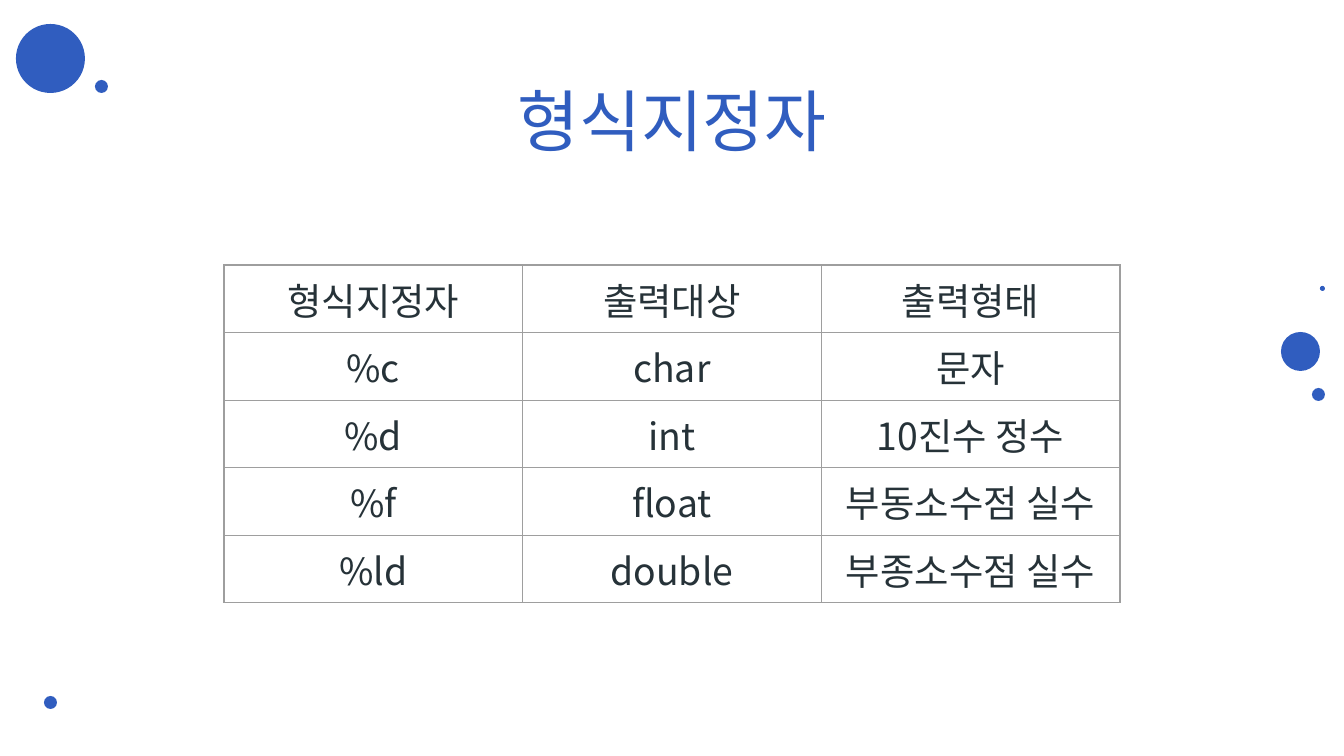
import pptx
import pptx.dml.color
import pptx.enum.shapes
import pptx.enum.text
import pptx.oxml.ns
import pptx.util
from lxml import etree

# Content
TITLE = "형식지정자"
ROWS = [
    ("형식지정자", "출력대상", "출력형태"),
    ("%c", "char", "문자"),
    ("%d", "int", "10진수 정수"),
    ("%f", "float", "부동소수점 실수"),
    ("%ld", "double", "부종소수점 실수"),
]
# Dots: left, top, diameter in px
DOTS = [
    (16, 24, 69), (95, 80, 13), (1281, 332, 39),
    (1312, 388, 13), (1320, 286, 5), (44, 696, 13),
]
TITLE_BOX = (101, 66, 1142, 85)
TABLE_BOX = (224, 265, 896, 338)
COLORS = {"blue": "305DBF", "ink": "263238", "border": "9E9E9E", "white": "FFFFFF"}
FONT = "Noto Sans CJK KR"
EMU_PER_PX = 914400 / 134.4


def px(n):
    return pptx.util.Emu(round(n * EMU_PER_PX))


def rgb(name):
    return pptx.dml.color.RGBColor.from_string(COLORS[name])


def add_centred_run(tf, text, size, color):
    p = tf.paragraphs[0]
    p.alignment = pptx.enum.text.PP_ALIGN.CENTER
    r = p.add_run()
    r.text = text
    r.font.size = pptx.util.Pt(size)
    r.font.name = FONT
    r.font.color.rgb = rgb(color)
    ea = etree.SubElement(r.font._element, pptx.oxml.ns.qn("a:ea"))
    ea.set("typeface", FONT)


def set_borders(cell, color, width):
    tc_pr = cell._tc.get_or_add_tcPr()
    for i, side in enumerate(("lnL", "lnR", "lnT", "lnB")):
        ln = etree.Element(pptx.oxml.ns.qn("a:" + side), w=str(pptx.util.Pt(width)))
        fill = etree.SubElement(ln, pptx.oxml.ns.qn("a:solidFill"))
        etree.SubElement(fill, pptx.oxml.ns.qn("a:srgbClr"), val=COLORS[color])
        tc_pr.insert(i, ln)


prs = pptx.Presentation()
prs.slide_width, prs.slide_height = px(1344), px(756)
s = prs.slides.add_slide(prs.slide_layouts[6])
s.background.fill.solid()
s.background.fill.fore_color.rgb = rgb("white")

# Decorative dots
for x, y, d in DOTS:
    sp = s.shapes.add_shape(pptx.enum.shapes.MSO_SHAPE.OVAL, px(x), px(y), px(d), px(d))
    sp.shadow.inherit = False
    sp.fill.solid()
    sp.fill.fore_color.rgb = rgb("blue")
    sp.line.fill.background()

# Title
tf = s.shapes.add_textbox(*map(px, TITLE_BOX)).text_frame
tf.word_wrap = True
tf.vertical_anchor = pptx.enum.text.MSO_ANCHOR.TOP
tf.margin_left = tf.margin_right = tf.margin_top = tf.margin_bottom = pptx.util.Inches(0.1)
add_centred_run(tf, TITLE, 36, "blue")

# Format specifier table
table = s.shapes.add_table(len(ROWS), len(ROWS[0]), *map(px, TABLE_BOX)).table
table.first_row = table.horz_banding = False
for i, row in enumerate(ROWS):
    for j, text in enumerate(row):
        cell = table.cell(i, j)
        cell.fill.background()
        set_borders(cell, "border", 0.75)
        add_centred_run(cell.text_frame, text, 20, "ink")

prs.save("out.pptx")
